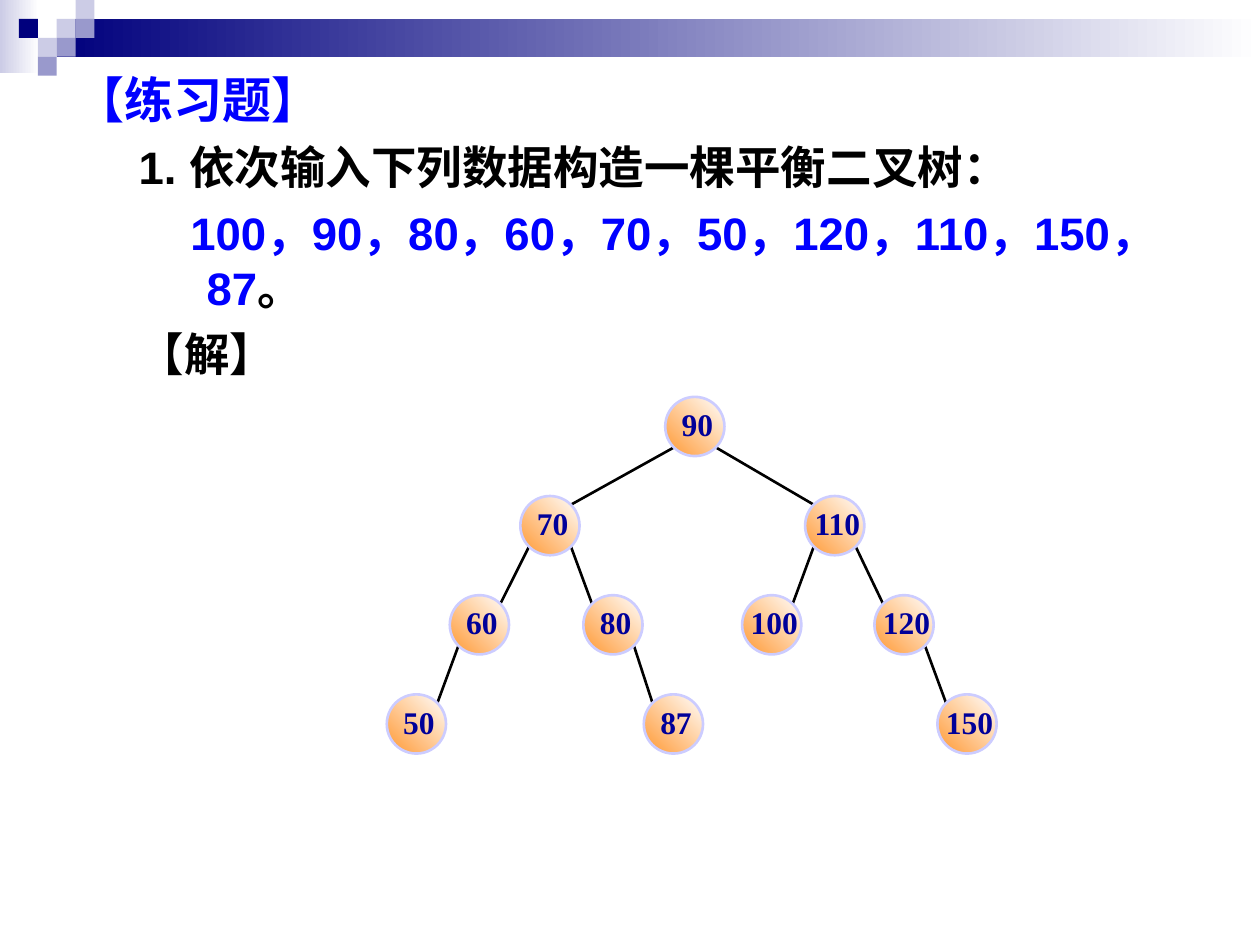
from typing import NamedTuple

from lxml.etree import SubElement
from pptx import Presentation
from pptx.dml.color import RGBColor
from pptx.enum.shapes import MSO_CONNECTOR as Connector, MSO_SHAPE as Shape
from pptx.enum.text import MSO_ANCHOR as Anchor, MSO_AUTO_SIZE as AutoSize, PP_ALIGN as Align
from pptx.oxml.ns import qn
from pptx.util import Inches, Pt

NAVY, LILAC, VIOLET, WHITE = "00007D", "CCCCE6", "9999CC", "FFFFFF"
BLUE, BLACK = "0000FF", "000000"
TILE = 0.15
NODE_SIZE = 0.47
CORNER = NODE_SIZE / 2 * 0.5 ** 0.5


class Tile(NamedTuple):
    column: int
    row: int
    color: str


class Node(NamedTuple):
    key: int
    left: float
    level: int
    parent: int | None = None

    @property
    def center(self) -> tuple[float, float]:
        top = 3.15 + 0.787 * self.level
        return self.left + NODE_SIZE / 2, top + NODE_SIZE / 2


class Line(NamedTuple):
    spans: list[tuple[str, str]]
    size: float = 26
    level: int = 1
    margin: float = 1.04
    indent: float = -0.54
    before: float = 6.5


TILES = [
    Tile(3, 1, LILAC), Tile(4, 0, LILAC), Tile(4, 1, VIOLET), Tile(2, 2, LILAC),
    Tile(1, 1, NAVY), Tile(3, 2, VIOLET), Tile(2, 3, VIOLET),
]

NODES = [
    Node(90, 5.28, 0),
    Node(70, 4.13, 1, 90), Node(110, 6.39, 1, 90),
    Node(60, 3.57, 2, 70), Node(80, 4.63, 2, 70),
    Node(100, 5.89, 2, 110), Node(120, 6.94, 2, 110),
    Node(50, 3.07, 3, 60), Node(87, 5.11, 3, 80), Node(150, 7.44, 3, 120),
]

LINES = [
    Line([("【练习题】", BLUE)], size=28, level=0, margin=0.58, indent=-0.58, before=0),
    Line([("1. 依次输入下列数据构造一棵平衡二叉树：", BLACK)]),
    Line([("100，90，80，60，70，50，120，110，150，87", BLUE), ("。", BLACK)], indent=-0.13),
    Line([("【解】", BLACK)]),
]


def rgb(color: str) -> RGBColor:
    return RGBColor.from_string(color)


def fill_gradient(shape, start: str, end: str, angle: float) -> None:
    shape.fill.gradient()
    shape.fill.gradient_angle = angle
    for stop, color, position in zip(shape.fill.gradient_stops, (start, end), (0, 1)):
        stop.color.rgb = rgb(color)
        stop.position = position


def add_block(page, left: float, top: float, width: float, height: float):
    block = page.shapes.add_shape(
        Shape.RECTANGLE, Inches(left), Inches(top), Inches(width), Inches(height))
    block.shadow.inherit = False
    block.line.fill.background()
    return block


def draw_banner(page) -> None:
    fill_gradient(add_block(page, 0, 0, 0.31, 0.58), LILAC, WHITE, 0)
    fill_gradient(add_block(page, 0.45, 0.15, 9.55, 0.3), NAVY, WHITE, 0)
    for tile in TILES:
        block = add_block(page, tile.column * TILE, tile.row * TILE, TILE, TILE)
        block.fill.solid()
        block.fill.fore_color.rgb = rgb(tile.color)


def write_body(body, lines: list[Line]) -> None:
    body.left, body.top, body.width, body.height = map(Inches, (0.5, 0.5, 9, 7))
    frame = body.text_frame
    frame.auto_size = AutoSize.NONE
    for index, line in enumerate(lines):
        para = frame.add_paragraph() if index else frame.paragraphs[0]
        para.level = line.level
        para.space_before = Pt(line.before)
        properties = para._p.get_or_add_pPr()
        properties.set("marL", str(Inches(line.margin)))
        properties.set("indent", str(Inches(line.indent)))
        SubElement(properties, qn("a:buNone"))
        for text, color in line.spans:
            span = para.add_run()
            span.text = text
            span.font.name = "Arial"
            span.font.size = Pt(line.size)
            span.font.bold = True
            span.font.color.rgb = rgb(color)


def draw_edge(page, parent: Node, child: Node) -> None:
    (parent_x, parent_y), (child_x, child_y) = parent.center, child.center
    side = CORNER if child_x > parent_x else -CORNER
    edge = page.shapes.add_connector(
        Connector.STRAIGHT,
        Inches(parent_x + side), Inches(parent_y + CORNER),
        Inches(child_x - side), Inches(child_y - CORNER))
    edge.line.color.rgb = rgb(BLACK)
    edge.line.width = Pt(1.5)
    SubElement(edge._element.spPr, qn("a:effectLst"))


def draw_node(page, node: Node) -> None:
    x, y = node.center
    circle = page.shapes.add_shape(
        Shape.OVAL, Inches(x - NODE_SIZE / 2), Inches(y - NODE_SIZE / 2),
        Inches(NODE_SIZE), Inches(NODE_SIZE))
    circle.shadow.inherit = False
    fill_gradient(circle, "FF9933", WHITE, 45)
    circle.line.color.rgb = rgb("CCCCFF")
    circle.line.width = Pt(1.5)
    frame = circle.text_frame
    frame.word_wrap = False
    frame.vertical_anchor = Anchor.MIDDLE
    frame.margin_left, frame.margin_top = Inches(0.14), Inches(0.01)
    frame.margin_right, frame.margin_bottom = Inches(0.1), Inches(0.05)
    frame.text = str(node.key)
    para = frame.paragraphs[0]
    para.alignment = Align.CENTER
    font = para.runs[0].font
    font.name = "Times New Roman"
    font.size = Pt(18)
    font.bold = True
    font.color.rgb = rgb("000099")


def draw_tree(page, nodes: list[Node]) -> None:
    by_key = {node.key: node for node in nodes}
    for node in nodes:
        if node.parent is not None:
            draw_edge(page, by_key[node.parent], node)
    for node in nodes:
        draw_node(page, node)


def main() -> None:
    deck = Presentation()
    deck.slide_width, deck.slide_height = Inches(10), Inches(7.5)
    page = deck.slides.add_slide(deck.slide_layouts[1])
    title = page.shapes.title._element
    title.getparent().remove(title)
    write_body(page.placeholders[1], LINES)
    draw_banner(page)
    draw_tree(page, NODES)
    deck.save("out.pptx")


if __name__ == "__main__":
    main()
